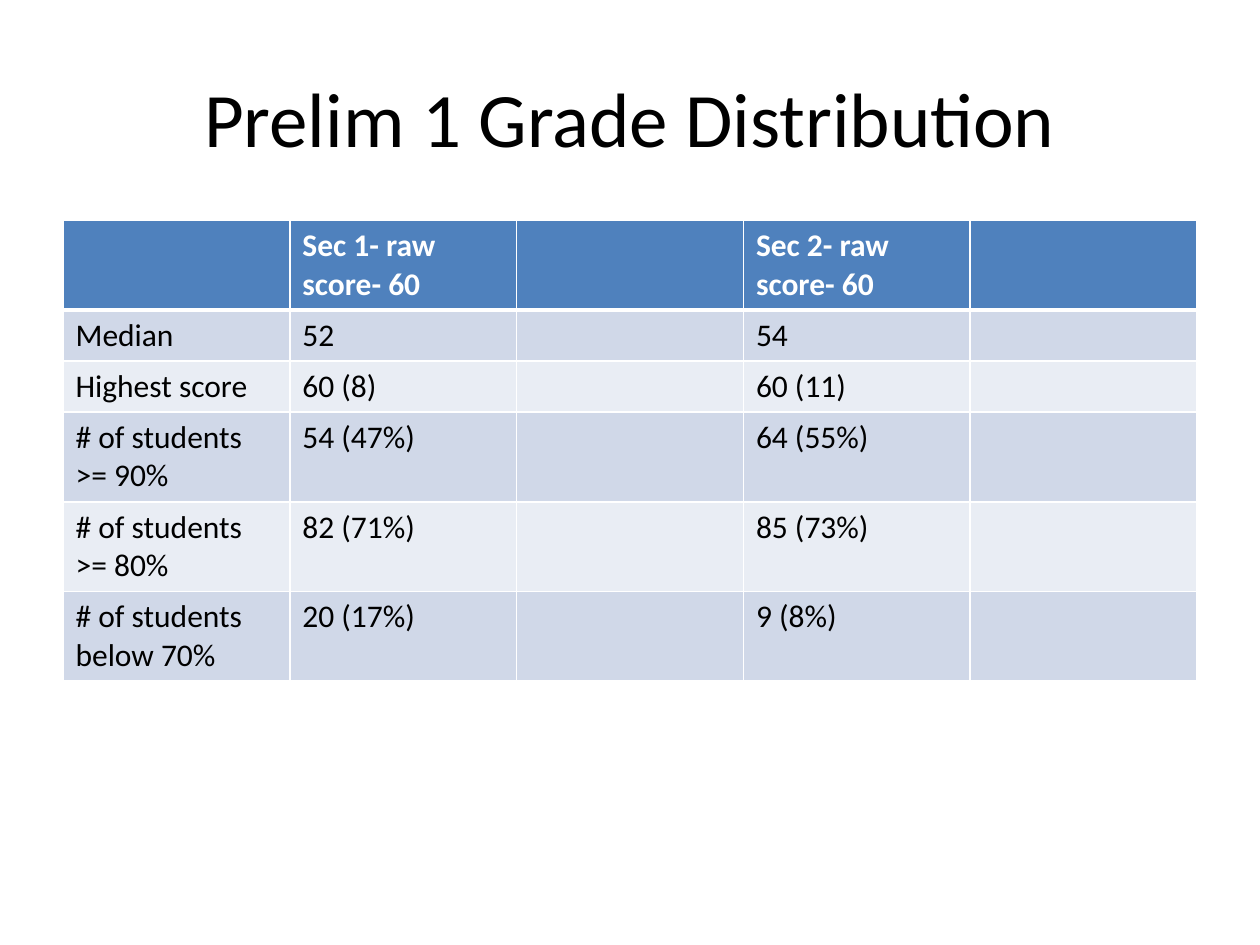
from dataclasses import dataclass

from lxml.etree import SubElement
from pptx import Presentation
from pptx.dml.color import RGBColor
from pptx.enum.text import MSO_ANCHOR, PP_ALIGN
from pptx.oxml.ns import qn
from pptx.util import Pt


@dataclass(frozen=True)
class Theme:
    font: str = "Calibri"
    title_size: int = 44
    table_size: int = 18
    text: str = "000000"
    header_text: str = "FFFFFF"
    header_fill: str = "4F81BD"
    band_fills: tuple = ("E9EDF4", "D0D8E8")
    border: str = "FFFFFF"


theme = Theme()


def style_text(tf, size, color, bold=False):
    for p in tf.paragraphs:
        for r in p.runs:
            r.font.name = theme.font
            r.font.size = Pt(size)
            r.font.bold = bold
            r.font.color.rgb = RGBColor.from_string(color)


def add_border(cell, side, width):
    ln = SubElement(cell._tc.get_or_add_tcPr(), qn(f"a:ln{side}"), w=str(Pt(width)))
    fill = SubElement(ln, qn("a:solidFill"))
    SubElement(fill, qn("a:srgbClr"), val=theme.border)


prs = Presentation()
prs.slide_width, prs.slide_height = Pt(720), Pt(540)
s = prs.slides.add_slide(prs.slide_layouts[5])

# Title
title = s.shapes.title
title.left, title.top, title.width, title.height = Pt(36), Pt(21.6), Pt(648), Pt(90)
tf = title.text_frame
tf.text = "Prelim 1 Grade Distribution"
tf.vertical_anchor = MSO_ANCHOR.MIDDLE
tf.paragraphs[0].alignment = PP_ALIGN.CENTER
style_text(tf, theme.title_size, theme.text)

# Grade table: an empty column follows each section
rows = [
    ("", "Sec 1- raw score- 60", "", "Sec 2- raw score- 60", ""),
    ("Median", "52", "", "54", ""),
    ("Highest score", "60 (8)", "", "60 (11)", ""),
    ("# of students >= 90%", "54 (47%)", "", "64 (55%)", ""),
    ("# of students >= 80%", "82 (71%)", "", "85 (73%)", ""),
    ("# of students below 70%", "20 (17%)", "", "9 (8%)", ""),
]
row_height = 29.2
table = s.shapes.add_table(
    len(rows), len(rows[0]), Pt(36), Pt(126), Pt(648), Pt(row_height * len(rows))
).table
for col in table.columns:
    col.width = Pt(648 / len(rows[0]))

for i, values in enumerate(rows):
    table.rows[i].height = Pt(row_height)
    header = i == 0
    fill = theme.header_fill if header else theme.band_fills[i % 2]
    color = theme.header_text if header else theme.text
    for j, value in enumerate(values):
        cell = table.cell(i, j)
        cell.text = value
        style_text(cell.text_frame, theme.table_size, color, bold=header)
        # A heavier rule separates the header from the body
        for side in "LRTB":
            heavy = (i, side) in ((0, "B"), (1, "T"))
            add_border(cell, side, 3 if heavy else 1)
        cell.fill.solid()
        cell.fill.fore_color.rgb = RGBColor.from_string(fill)

prs.save("out.pptx")
